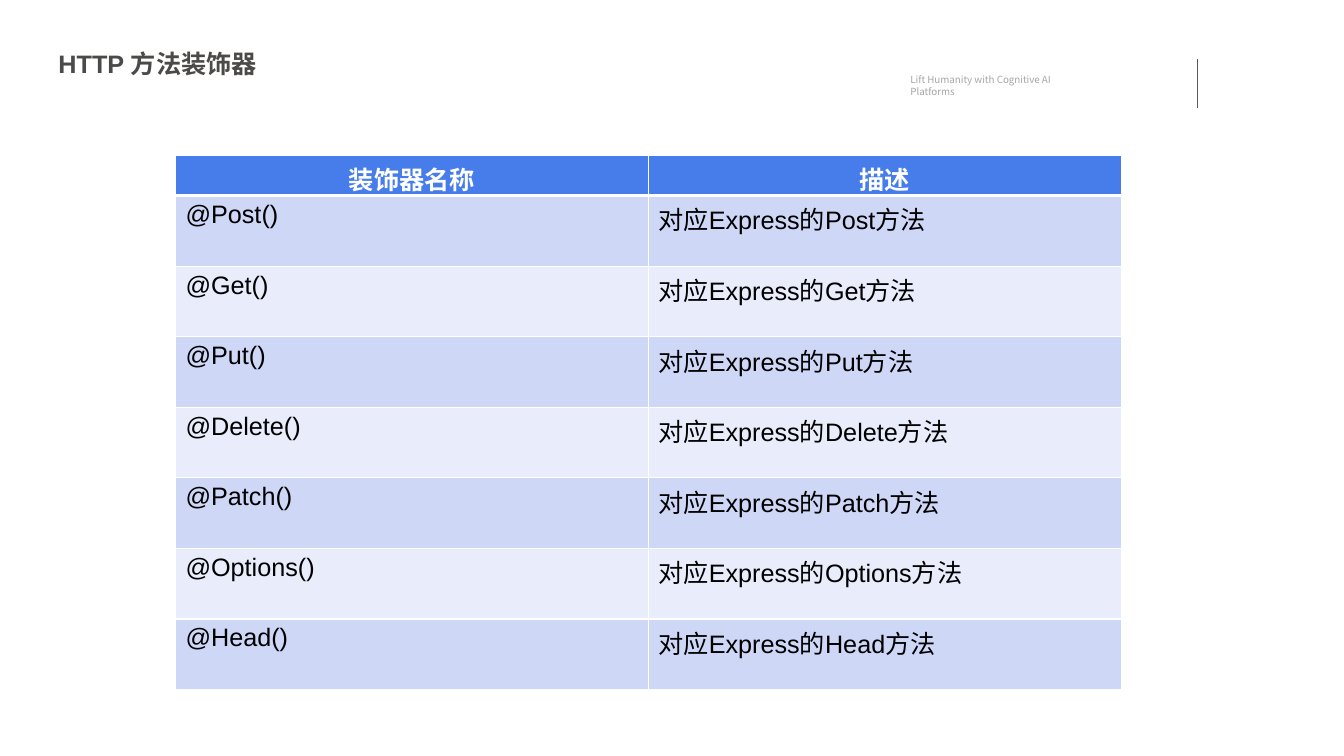
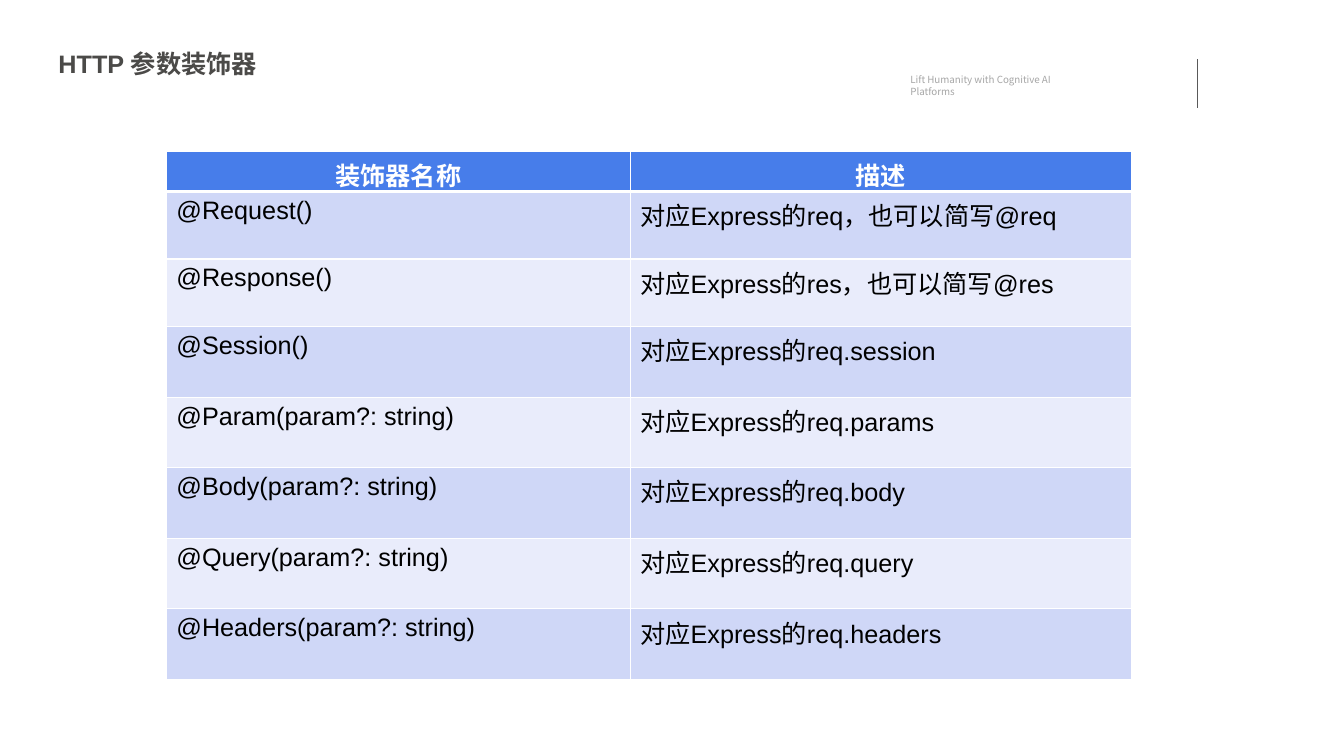
from dataclasses import dataclass
from lxml.etree import SubElement
from pptx import Presentation
from pptx.dml.color import RGBColor
from pptx.enum.shapes import MSO_CONNECTOR
from pptx.enum.text import MSO_ANCHOR, MSO_AUTO_SIZE, PP_ALIGN
from pptx.oxml.ns import qn
from pptx.util import Inches, Pt


@dataclass(frozen=True)
class Theme:
    title: str = "4B4A48"
    slogan: str = "A6A6A6"
    rule: str = "595959"
    white: str = "FFFFFF"
    body: str = "000000"
    header: str = "477DEA"
    bands: tuple = ("CFD7F7", "E9ECFB")
    latin_font: str = "Arial"
    chinese_font: str = "Noto Sans CJK SC"
    text_size: int = 18
    slogan_size: int = 7
    rule_width: float = 0.5
    border_width: int = 1
    header_border_width: int = 3


@dataclass(frozen=True)
class Box:
    left: float
    top: float
    width: float
    height: float

    def lengths(self):
        return [Inches(value) for value in (self.left, self.top, self.width, self.height)]


THEME = Theme()
TITLE_BOX = Box(0.48, 0.43, 8.52, 0.4)
MARK_BOX = Box(9.03, 0.59, 2.85, 0.48)
HEADINGS = ("装饰器名称", "描述")
HEADER_HEIGHT = 0.4

METHODS = ("Post", "Get", "Put", "Delete", "Patch", "Options", "Head")
METHOD_ROWS = [(f"@{method}()", f"对应Express的{method}方法") for method in METHODS]
PARAMETER_ROWS = [
    ("@Request()", "对应Express的req，也可以简写@req"),
    ("@Response()", "对应Express的res，也可以简写@res"),
    ("@Session()", "对应Express的req.session"),
    ("@Param(param?: string)", "对应Express的req.params"),
    ("@Body(param?: string)", "对应Express的req.body"),
    ("@Query(param?: string)", "对应Express的req.query"),
    ("@Headers(param?: string)", "对应Express的req.headers"),
]


def add_run(paragraph, text, color, size=THEME.text_size, bold=False, font=THEME.latin_font):
    run = paragraph.add_run()
    run.text = text
    run.font.size = Pt(size)
    run.font.bold = bold
    run.font.name = font
    run.font.color.rgb = RGBColor.from_string(color)
    SubElement(run.font._element, qn("a:ea"), typeface=THEME.chinese_font)


def add_title(slide, box, text):
    title = slide.shapes.title
    title.left, title.top, title.width, title.height = box.lengths()
    frame = title.text_frame
    frame.auto_size = MSO_AUTO_SIZE.NONE
    frame.vertical_anchor = MSO_ANCHOR.BOTTOM
    paragraph = frame.paragraphs[0]
    paragraph.alignment = PP_ALIGN.LEFT
    paragraph.line_spacing = 0.9
    add_run(paragraph, text, THEME.title, bold=True)


def add_mark(slide, box):
    slogan_box = Box(box.left, box.top + 0.14, 1.67, 0.12)
    slogan = slide.shapes.add_textbox(*slogan_box.lengths())
    frame = slogan.text_frame
    frame.word_wrap = True
    frame.margin_left = frame.margin_top = frame.margin_right = frame.margin_bottom = 0
    add_run(frame.paragraphs[0], "Lift Humanity with Cognitive AI Platforms",
            THEME.slogan, THEME.slogan_size, font=THEME.chinese_font)

    right = Inches(box.left + box.width)
    rule = slide.shapes.add_connector(
        MSO_CONNECTOR.STRAIGHT, right, Inches(box.top), right, Inches(box.top + box.height))
    rule.line.color.rgb = RGBColor.from_string(THEME.rule)
    rule.line.width = Pt(THEME.rule_width)
    SubElement(rule._element.spPr, qn("a:effectLst"))


def add_borders(cell, top_width, bottom_width):
    properties = cell._tc.get_or_add_tcPr()
    widths = {"lnL": THEME.border_width, "lnR": THEME.border_width,
              "lnT": top_width, "lnB": bottom_width}
    for side, width in widths.items():
        border = SubElement(properties, qn(f"a:{side}"), w=str(Pt(width)))
        fill = SubElement(border, qn("a:solidFill"))
        SubElement(fill, qn("a:srgbClr"), val=THEME.white)


def fill_cell(cell, text, row_index):
    is_header = row_index == 0
    add_borders(
        cell,
        THEME.header_border_width if row_index == 1 else THEME.border_width,
        THEME.header_border_width if is_header else THEME.border_width)
    color = THEME.header if is_header else THEME.bands[(row_index - 1) % 2]
    cell.fill.solid()
    cell.fill.fore_color.rgb = RGBColor.from_string(color)
    paragraph = cell.text_frame.paragraphs[0]
    paragraph.alignment = PP_ALIGN.CENTER if is_header else PP_ALIGN.LEFT
    add_run(paragraph, text, THEME.white if is_header else THEME.body, bold=is_header)


def add_decorator_table(slide, box, rows, first_column_width, row_heights):
    contents = [HEADINGS, *rows]
    table = slide.shapes.add_table(len(contents), len(HEADINGS), *box.lengths()).table
    column_widths = (first_column_width, box.width - first_column_width)
    for column, width in zip(table.columns, column_widths):
        column.width = Inches(width)
    for row_index, (texts, height) in enumerate(zip(contents, [HEADER_HEIGHT, *row_heights])):
        table.rows[row_index].height = Inches(height)
        for column_index, text in enumerate(texts):
            fill_cell(table.cell(row_index, column_index), text, row_index)


def add_decorator_slide(presentation, title, table_box, rows, first_column_width, row_heights):
    slide = presentation.slides.add_slide(presentation.slide_layouts[5])
    add_mark(slide, MARK_BOX)
    add_title(slide, TITLE_BOX, title)
    add_decorator_table(slide, table_box, rows, first_column_width, row_heights)


def main():
    presentation = Presentation()
    presentation.slide_width = Inches(13.33)
    presentation.slide_height = Inches(7.5)
    add_decorator_slide(presentation, "HTTP 方法装饰器", Box(1.74, 1.54, 9.38, 5.32),
                        METHOD_ROWS, 4.69, [0.7] * 7)
    add_decorator_slide(presentation, "HTTP 参数装饰器", Box(1.65, 1.5, 9.57, 5.24),
                        PARAMETER_ROWS, 4.6, [0.67] * 2 + [0.7] * 5)
    presentation.save("out.pptx")


if __name__ == "__main__":
    main()
